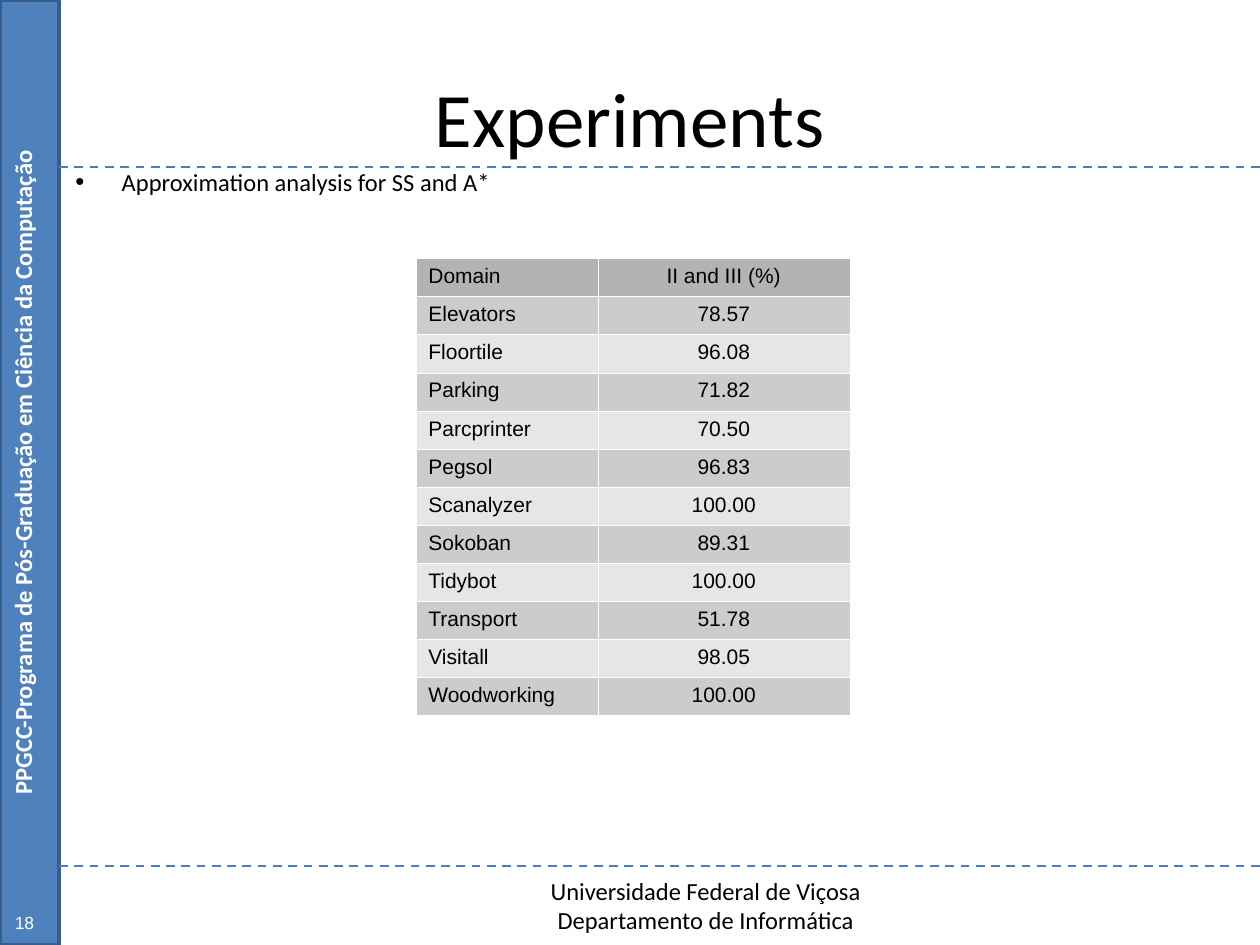
from dataclasses import dataclass

from lxml.etree import SubElement
from pptx import Presentation
from pptx.dml.color import RGBColor
from pptx.enum.dml import MSO_LINE
from pptx.enum.shapes import MSO_CONNECTOR, MSO_SHAPE
from pptx.enum.text import MSO_ANCHOR, PP_ALIGN
from pptx.oxml.ns import qn
from pptx.util import Pt


@dataclass(frozen=True)
class Theme:
    ink: str = "000000"
    paper: str = "FFFFFF"
    band: str = "4F81BD"
    band_edge: str = "385D8A"
    rule: str = "4A7EBB"
    header: str = "B3B3B3"
    odd_row: str = "CCCCCC"
    even_row: str = "E6E6E6"
    title_size: int = 44
    body_size: int = 14
    table_size: int = 12
    number_size: int = 10
    main_font: str = "Calibri"
    table_font: str = "Arial"


THEME = Theme()
PAGE_WIDTH, PAGE_HEIGHT = 720, 540
BAND_WIDTH = 33.8

RESULTS = [
    ("Domain", "II and III (%)"),
    ("Elevators", "78.57"),
    ("Floortile", "96.08"),
    ("Parking", "71.82"),
    ("Parcprinter", "70.50"),
    ("Pegsol", "96.83"),
    ("Scanalyzer", "100.00"),
    ("Sokoban", "89.31"),
    ("Tidybot", "100.00"),
    ("Transport", "51.78"),
    ("Visitall", "98.05"),
    ("Woodworking", "100.00"),
]


def color(value):
    return RGBColor.from_string(value)


def write(frame, text, *, size=THEME.body_size, font=THEME.main_font, ink=THEME.ink,
          bold=False, align=PP_ALIGN.LEFT, bullet_indent=None):
    """Fill a text frame, one paragraph for each line of text."""
    for index, line in enumerate(text.split("\n")):
        para = frame.add_paragraph() if index else frame.paragraphs[0]
        para.alignment = align
        if bullet_indent:
            add_bullet(para, bullet_indent)
        span = para.add_run()
        span.text = line
        span.font.size = Pt(size)
        span.font.name = font
        span.font.bold = bold
        span.font.color.rgb = color(ink)


def add_bullet(para, indent):
    properties = para._p.get_or_add_pPr()
    properties.set("marL", str(Pt(indent)))
    properties.set("indent", str(-Pt(indent)))
    SubElement(properties, qn("a:buSzPct"), val="105000")
    SubElement(properties, qn("a:buFont"), typeface=THEME.table_font)
    SubElement(properties, qn("a:buChar"), char="•")


def add_text(page, text, left, top, width, height, *, anchor=MSO_ANCHOR.TOP,
             wrap=True, rotation=0, **text_format):
    box = page.shapes.add_textbox(Pt(left), Pt(top), Pt(width), Pt(height))
    box.rotation = rotation
    box.text_frame.word_wrap = wrap
    box.text_frame.vertical_anchor = anchor
    write(box.text_frame, text, **text_format)


def add_side_band(page):
    band = page.shapes.add_shape(MSO_SHAPE.RECTANGLE, 0, 0, Pt(BAND_WIDTH), Pt(PAGE_HEIGHT))
    band.shadow.inherit = False
    band.fill.solid()
    band.fill.fore_color.rgb = color(THEME.band)
    band.line.color.rgb = color(THEME.band_edge)
    band.line.width = Pt(2)


def add_dashed_rule(page, top):
    rule = page.shapes.add_connector(
        MSO_CONNECTOR.STRAIGHT, Pt(BAND_WIDTH), Pt(top), Pt(PAGE_WIDTH), Pt(top))
    rule.line.color.rgb = color(THEME.rule)
    rule.line.width = Pt(1.25)
    rule.line.dash_style = MSO_LINE.DASH
    SubElement(rule._element.spPr, qn("a:effectLst"))


def add_cell_borders(cell):
    properties = cell._tc.get_or_add_tcPr()
    for side in ("lnL", "lnR", "lnT", "lnB"):
        border = SubElement(properties, qn(f"a:{side}"), w=str(Pt(0.06)))
        fill = SubElement(border, qn("a:solidFill"))
        SubElement(fill, qn("a:srgbClr"), val=THEME.paper)


def add_results_table(page, rows, left, top, column_widths, row_height):
    frame = page.shapes.add_table(
        len(rows), len(column_widths), Pt(left), Pt(top),
        Pt(sum(column_widths)), Pt(row_height * len(rows)))
    table = frame.table
    table.first_row = table.horz_banding = False
    for column, width in zip(table.columns, column_widths):
        column.width = Pt(width)
    for row_index, values in enumerate(rows):
        table.rows[row_index].height = Pt(row_height)
        shade = THEME.odd_row if row_index % 2 else THEME.even_row
        if row_index == 0:
            shade = THEME.header
        for column_index, value in enumerate(values):
            cell = table.cell(row_index, column_index)
            add_cell_borders(cell)
            cell.fill.solid()
            cell.fill.fore_color.rgb = color(shade)
            write(cell.text_frame, value, size=THEME.table_size, font=THEME.table_font,
                  align=PP_ALIGN.CENTER if column_index else PP_ALIGN.LEFT)


def main():
    deck = Presentation()
    deck.slide_width, deck.slide_height = Pt(PAGE_WIDTH), Pt(PAGE_HEIGHT)
    page = deck.slides.add_slide(deck.slide_layouts[6])

    # Title and main point
    add_text(page, "Experiments", 36, 21.6, 648, 90, anchor=MSO_ANCHOR.MIDDLE,
             size=THEME.title_size, align=PP_ALIGN.CENTER)
    add_text(page, "Approximation analysis for SS and A*", 36, 91.8, 648, 388,
             bullet_indent=26.5)

    # Side band and dashed rules
    add_side_band(page)
    for top in (95.6, 495):
        add_dashed_rule(page, top)

    # Footer, programme name and page number
    add_text(page, "Universidade Federal de Viçosa\nDepartamento de Informática",
             161.3, 497, 484, 41, align=PP_ALIGN.CENTER)
    add_text(page, "PPGCC-Programa de Pós-Graduação em Ciência da Computação",
             -257, 257.8, PAGE_HEIGHT, 24.4, rotation=270, bold=True, ink=THEME.paper,
             align=PP_ALIGN.CENTER)
    add_text(page, "18", 1.4, 517.8, 30, 21.6, size=THEME.number_size,
             font=THEME.table_font, ink=THEME.paper)

    # Results by domain
    add_results_table(page, RESULTS, 237.6, 147.6, (104, 144), 21.78)

    deck.save("out.pptx")


if __name__ == "__main__":
    main()
